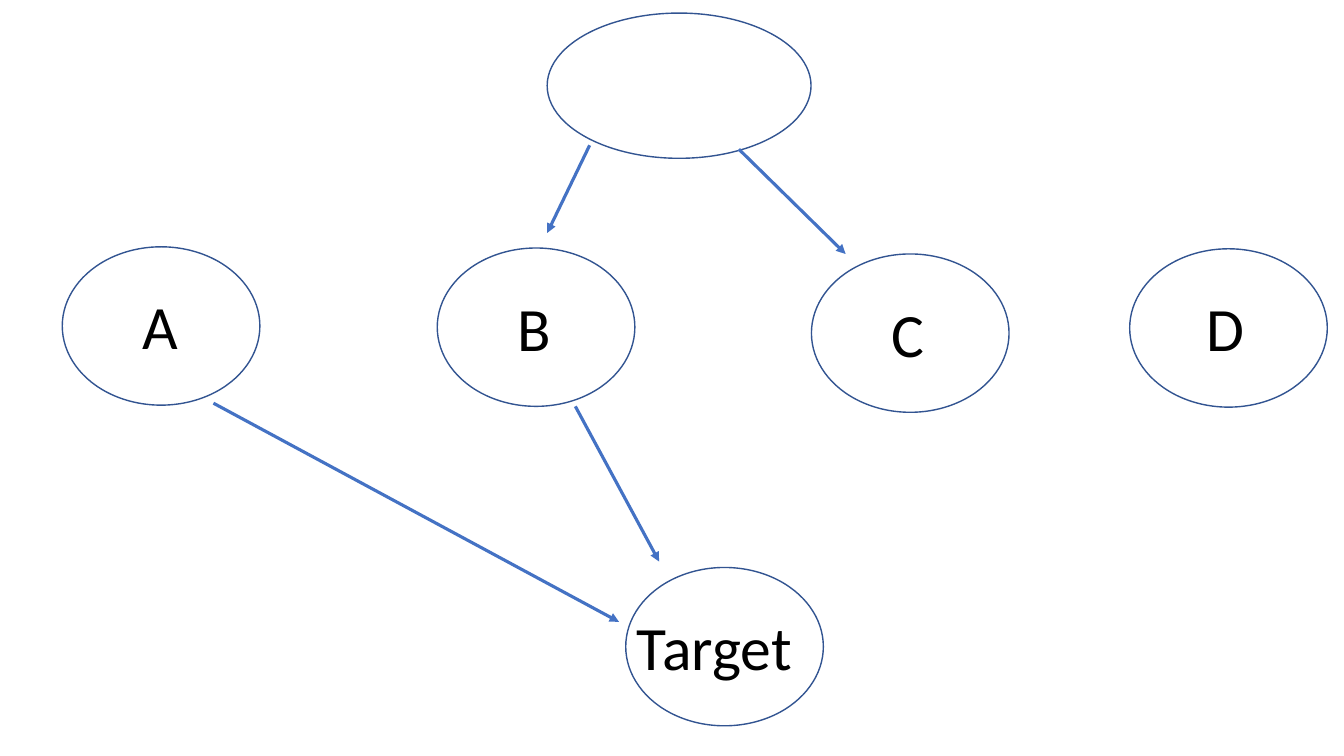
from lxml.etree import SubElement
from pptx import Presentation
from pptx.dml.color import RGBColor
from pptx.enum.shapes import MSO_CONNECTOR, MSO_SHAPE
from pptx.enum.text import MSO_AUTO_SIZE
from pptx.oxml.ns import qn
from pptx.util import Cm, Pt

# Lengths in cm
ROOT = (13.79, 0.33, 6.65, 3.66)
NODE_W, NODE_H = 4.98, 3.99
LABEL_DY, LABEL_H = 0.92, 2.13

# text, node left, node top, label offset from node, label width
NODES = [
    ("A", 1.57, 6.22, 1.78, 1.42),
    ("B", 11.02, 6.25, 1.78, 1.37),
    ("C", 20.45, 6.40, 1.78, 1.35),
    ("D", 28.47, 6.27, 1.68, 1.47),
    ("Target", 15.77, 14.30, 0.03, 4.45),
]

# start x, start y, end x, end y
ARROWS = [
    (5.38, 10.16, 15.60, 15.67),   # A to Target
    (14.50, 10.24, 16.61, 14.15),  # B to Target
    (18.62, 3.76, 21.31, 6.40),    # root to C
    (14.86, 3.66, 13.79, 5.87),    # root to B
]


def rgb(color):
    return RGBColor.from_string(color)


def add_ellipse(slide, *box):
    s = slide.shapes.add_shape(MSO_SHAPE.OVAL, *map(Cm, box))
    s.shadow.inherit = False
    s.fill.background()
    s.line.color.rgb = rgb("325491")
    s.line.width = Pt(1)


def add_text(slide, text, *box, size=44, font="Calibri", color="000000"):
    tf = slide.shapes.add_textbox(*map(Cm, box)).text_frame
    tf.word_wrap = False
    tf.auto_size = MSO_AUTO_SIZE.SHAPE_TO_FIT_TEXT
    r = tf.paragraphs[0].add_run()
    r.text = text
    r.font.size = Pt(size)
    r.font.name = font
    r.font.color.rgb = rgb(color)


def add_arrow(slide, *ends):
    c = slide.shapes.add_connector(MSO_CONNECTOR.STRAIGHT, *map(Cm, ends))
    c.line.color.rgb = rgb("4472C4")
    c.line.width = Pt(2.25)
    SubElement(c.line._get_or_add_ln(), qn("a:tailEnd"), type="triangle")
    SubElement(c._element.spPr, qn("a:effectLst"))


def main():
    prs = Presentation()
    prs.slide_width, prs.slide_height = Cm(33.87), Cm(19.05)
    slide = prs.slides.add_slide(prs.slide_layouts[6])

    add_ellipse(slide, *ROOT)
    for text, x, y, label_dx, label_w in NODES:
        add_ellipse(slide, x, y, NODE_W, NODE_H)
        add_text(slide, text, x + label_dx, y + LABEL_DY, label_w, LABEL_H)
    for ends in ARROWS:
        add_arrow(slide, *ends)

    prs.save("out.pptx")


if __name__ == "__main__":
    main()
